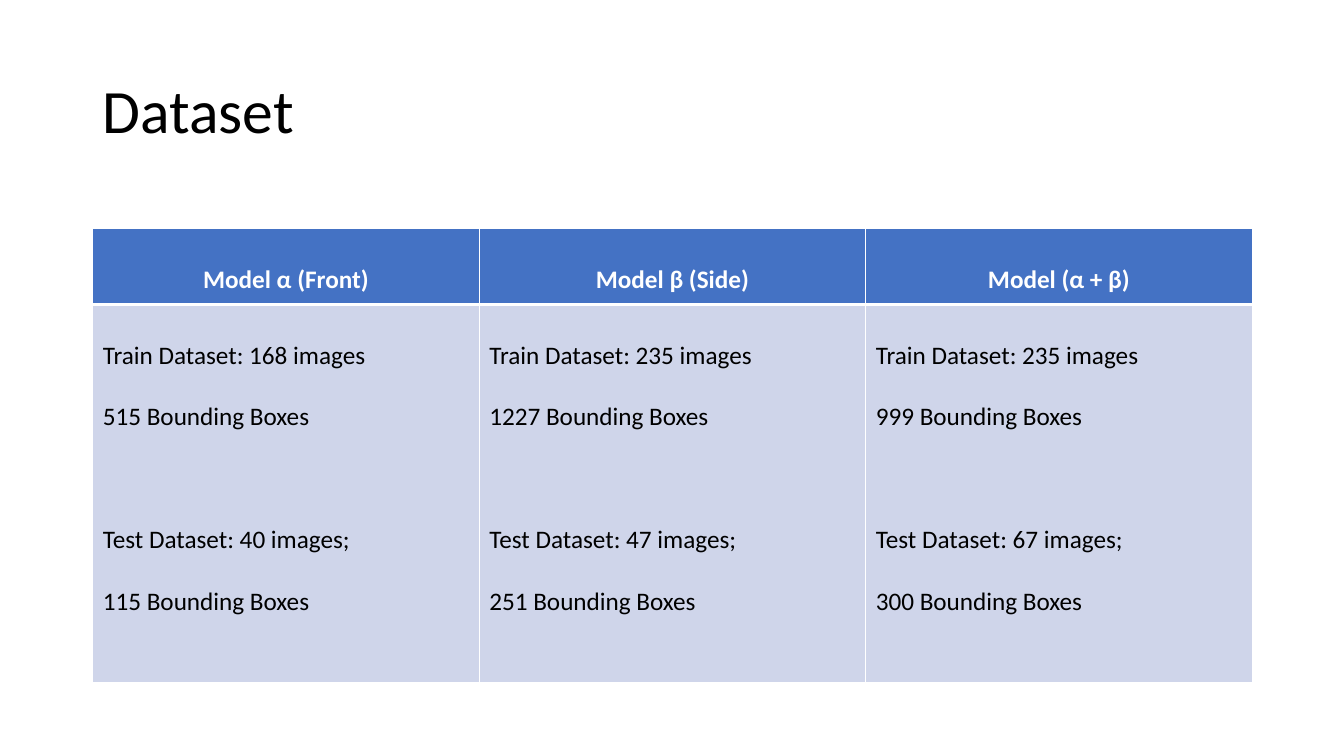
from lxml import etree
from pptx import Presentation
from pptx.dml.color import RGBColor
from pptx.enum.text import MSO_ANCHOR, PP_ALIGN
from pptx.oxml.ns import qn
from pptx.util import Inches, Pt

CENTER, LEFT = PP_ALIGN.CENTER, PP_ALIGN.LEFT
MIDDLE = MSO_ANCHOR.MIDDLE
FONT = "Calibri"
BLACK, WHITE, BLUE, PALE = "000000", "FFFFFF", "4472C4", "CFD5EA"
HEADER_HEIGHT, BODY_HEIGHT = 0.75, 3.75
GROUP_GAP = 44

MODELS = [
    ("Model α (Front)", (168, 515), (40, 115)),
    ("Model β (Side)", (235, 1227), (47, 251)),
    ("Model (α + β)", (235, 999), (67, 300)),
]


def color(value):
    """Turn a hex string into a colour."""
    return RGBColor.from_string(value)


def add_run(p, text, size, value, bold=False):
    """Add one formatted run to a paragraph."""
    r = p.add_run()
    r.text = text
    r.font.name = FONT
    r.font.size = Pt(size)
    r.font.bold = bold
    r.font.color.rgb = color(value)


def add_borders(cell, top, bottom):
    """Draw white borders round a cell, with top and bottom widths in points."""
    tcPr = cell._tc.get_or_add_tcPr()
    for side, width in (("L", 1), ("R", 1), ("T", top), ("B", bottom)):
        ln = etree.SubElement(tcPr, qn("a:ln" + side), w=str(Pt(width)))
        fill = etree.SubElement(ln, qn("a:solidFill"))
        etree.SubElement(fill, qn("a:srgbClr"), val=WHITE)


def fill_cell(cell, lines, fill, value, align, bold=False):
    """Fill a cell with double-spaced lines, each given with its space before."""
    cell.fill.solid()
    cell.fill.fore_color.rgb = color(fill)
    tf = cell.text_frame
    for i, (text, gap) in enumerate(lines):
        p = tf.add_paragraph() if i else tf.paragraphs[0]
        p.alignment = align
        p.line_spacing = 2.0
        p.space_before = Pt(gap)
        add_run(p, text, 18, value, bold)


def add_title(s, left, top, width, height):
    """Place the slide title in the given box."""
    tf = s.shapes.add_textbox(Inches(left), Inches(top), Inches(width), Inches(height)).text_frame
    tf.word_wrap = True
    tf.vertical_anchor = MIDDLE
    p = tf.paragraphs[0]
    p.line_spacing = 0.9
    add_run(p, "Dataset", 44, BLACK)


def add_dataset_table(s, left, top, width):
    """Place the table of models, one column each, in the given width."""
    height = HEADER_HEIGHT + BODY_HEIGHT
    table = s.shapes.add_table(2, len(MODELS), Inches(left), Inches(top),
                               Inches(width), Inches(height)).table
    table.rows[0].height = Inches(HEADER_HEIGHT)
    table.rows[1].height = Inches(BODY_HEIGHT)
    for col, (name, train, test) in enumerate(MODELS):
        table.columns[col].width = Inches(width / len(MODELS))
        header, body = table.cell(0, col), table.cell(1, col)
        add_borders(header, 1, 3)
        add_borders(body, 3, 1)
        fill_cell(header, [(name, 0)], BLUE, WHITE, CENTER, True)
        lines = [
            (f"Train Dataset: {train[0]} images", 0),
            (f"{train[1]} Bounding Boxes", 0),
            (f"Test Dataset: {test[0]} images;", GROUP_GAP),
            (f"{test[1]} Bounding Boxes", 0),
        ]
        fill_cell(body, lines, PALE, BLACK, LEFT)


def main():
    """Build and save the dataset slide."""
    prs = Presentation()
    prs.slide_width, prs.slide_height = Inches(13.33), Inches(7.5)
    s = prs.slides.add_slide(prs.slide_layouts[6])
    add_title(s, 0.92, 0.4, 11.5, 1.45)
    add_dataset_table(s, 0.92, 2.27, 11.5)
    prs.save("out.pptx")


if __name__ == "__main__":
    main()
